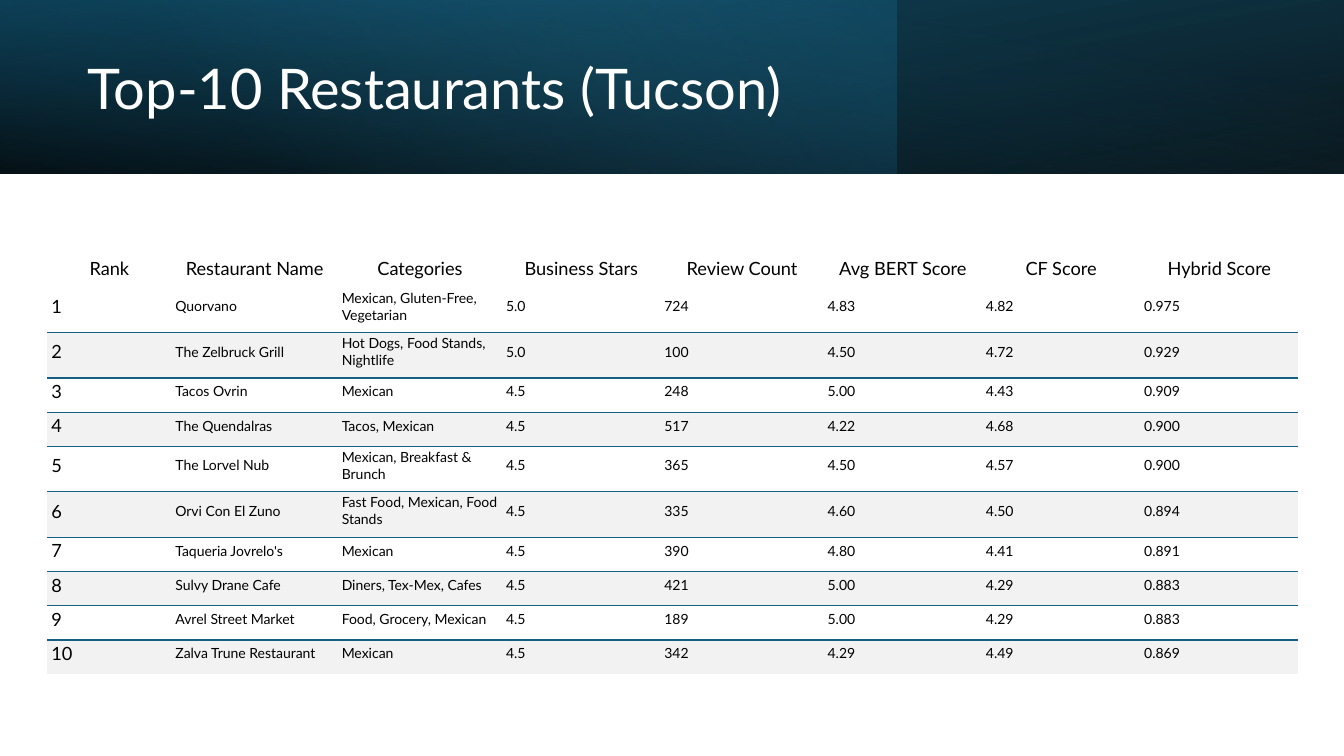
from typing import NamedTuple

from pptx import Presentation
from pptx.dml.color import RGBColor
from pptx.enum.shapes import MSO_SHAPE
from pptx.enum.text import MSO_ANCHOR, MSO_AUTO_SIZE, PP_ALIGN
from pptx.oxml import parse_xml
from pptx.oxml.ns import nsdecls, qn
from pptx.slide import Slide
from pptx.table import Table, _Cell
from pptx.text.text import _Paragraph
from pptx.util import Inches, Pt

FONT = "Lato"
TEAL = "156082"
PLAIN = "{2D5ABB26-0587-4C30-8999-92F81FD0307C}"


class Stop(NamedTuple):
    at: int
    color: str
    alpha: int


class Band(NamedTuple):
    width: float
    angle: int
    stops: list[Stop]
    turn: int = 0
    flip: bool = False


class Diner(NamedTuple):
    name: str
    kinds: str
    stars: str
    count: str
    bert: str
    collab: str
    hybrid: str


BANDS = [
    Band(13.33, 100, [Stop(0, "000000", 96), Stop(100, "104862", 100)], 180, True),
    Band(8.89, 140, [Stop(0, TEAL, 41), Stop(74, "46B1E1", 0)]),
    Band(13.33, 260, [Stop(0, "000000", 63), Stop(78, TEAL, 15)], 0, True),
]
HEADS = ["Rank", "Restaurant Name", "Categories", "Business Stars",
         "Review Count", "Avg BERT Score", "CF Score", "Hybrid Score"]
WIDTHS = [1.23, 1.65, 1.63, 1.57, 1.62, 1.57, 1.57, 1.57]
LOW, TALL = 0.34, 0.45
TALL_ROWS = {1, 2, 5, 6}
DINERS = [
    Diner("Quorvano", "Mexican, Gluten-Free, Vegetarian", "5.0", "724", "4.83", "4.82", "0.975"),
    Diner("The Zelbruck Grill", "Hot Dogs, Food Stands, Nightlife", "5.0", "100", "4.50", "4.72", "0.929"),
    Diner("Tacos Ovrin", "Mexican", "4.5", "248", "5.00", "4.43", "0.909"),
    Diner("The Quendalras", "Tacos, Mexican", "4.5", "517", "4.22", "4.68", "0.900"),
    Diner("The Lorvel Nub", "Mexican, Breakfast & Brunch", "4.5", "365", "4.50", "4.57", "0.900"),
    Diner("Orvi Con El Zuno", "Fast Food, Mexican, Food Stands", "4.5", "335", "4.60", "4.50", "0.894"),
    Diner("Taqueria Jovrelo's", "Mexican", "4.5", "390", "4.80", "4.41", "0.891"),
    Diner("Sulvy Drane Cafe", "Diners, Tex-Mex, Cafes", "4.5", "421", "5.00", "4.29", "0.883"),
    Diner("Avrel Street Market", "Food, Grocery, Mexican", "4.5", "189", "5.00", "4.29", "0.883"),
    Diner("Zalva Trune Restaurant", "Mexican", "4.5", "342", "4.29", "4.49", "0.869"),
]


def rgb(color: str) -> RGBColor:
    return RGBColor.from_string(color)


def style(para: _Paragraph, size: int, color: str, align: PP_ALIGN) -> None:
    para.font.name = FONT
    para.font.size = Pt(size)
    para.font.color.rgb = rgb(color)
    para.alignment = align


def add_band(slide: Slide, band: Band) -> None:
    shape = slide.shapes.add_shape(MSO_SHAPE.RECTANGLE, 0, 0, Inches(band.width), Inches(1.72))
    shape.shadow.inherit = False
    shape.line.fill.background()
    shape.rotation = band.turn
    props = shape._element.spPr
    if band.flip:
        props.find(qn("a:xfrm")).set("flipH", "1")
    stops = "".join(
        f'<a:gs pos="{stop.at * 1000}"><a:srgbClr val="{stop.color}">'
        f'<a:alpha val="{stop.alpha * 1000}"/></a:srgbClr></a:gs>'
        for stop in band.stops)
    props.find(qn("a:prstGeom")).addnext(parse_xml(
        f'<a:gradFill {nsdecls("a")} rotWithShape="1"><a:gsLst>{stops}</a:gsLst>'
        f'<a:lin ang="{band.angle * 60000}" scaled="0"/></a:gradFill>'))


def add_title(slide: Slide, text: str) -> None:
    title = slide.shapes.title
    title.left, title.top = Inches(0.77), Inches(0.27)
    title.width, title.height = Inches(7.72), Inches(1.27)
    frame = title.text_frame
    frame.text = text
    frame.word_wrap = True
    frame.auto_size = MSO_AUTO_SIZE.NONE
    frame.vertical_anchor = MSO_ANCHOR.MIDDLE
    para = frame.paragraphs[0]
    para.line_spacing = 0.9
    style(para, 40, "FFFFFF", PP_ALIGN.LEFT)
    slide.shapes._spTree.append(title._element)


def add_rule(cell: _Cell, side: str) -> None:
    cell._tc.get_or_add_tcPr().insert(0, parse_xml(
        f'<a:{side} {nsdecls("a")} w="12700"><a:solidFill><a:srgbClr val="{TEAL}"/>'
        f'</a:solidFill></a:{side}>'))


def fill_cell(cell: _Cell, text: str, row: int, col: int) -> None:
    cell.text = text
    cell.margin_left = cell.margin_right = Inches(0.04)
    cell.margin_top, cell.margin_bottom = Inches(0.01), Inches(0.08)
    head = row == 0
    cell.vertical_anchor = MSO_ANCHOR.BOTTOM if head else MSO_ANCHOR.MIDDLE
    style(cell.text_frame.paragraphs[0], 13 if head or col == 0 else 10,
          "000000", PP_ALIGN.CENTER if head else PP_ALIGN.LEFT)
    if head or row % 2:
        cell.fill.background()
    else:
        cell.fill.solid()
        cell.fill.fore_color.rgb = rgb("F2F2F2")
    if not head:
        add_rule(cell, "lnB" if row % 2 else "lnT")


def add_ranks(slide: Slide) -> None:
    rows = [HEADS] + [[str(rank), *diner] for rank, diner in enumerate(DINERS, 1)]
    highs = [TALL if row in TALL_ROWS else LOW for row in range(len(rows))]
    frame = slide.shapes.add_table(len(rows), len(HEADS), Inches(0.47), Inches(2.51),
                                   Inches(sum(WIDTHS)), Inches(sum(highs)))
    table: Table = frame.table
    table.first_row = table.horz_banding = False
    table._tbl.tblPr.find(qn("a:tableStyleId")).text = PLAIN
    for col, width in enumerate(WIDTHS):
        table.columns[col].width = Inches(width)
    for row, texts in enumerate(rows):
        table.rows[row].height = Inches(highs[row])
        for col, text in enumerate(texts):
            fill_cell(table.cell(row, col), text, row, col)


def main() -> None:
    """Build the slide of ranked restaurants and save it."""
    deck = Presentation()
    deck.slide_width, deck.slide_height = Inches(13.33), Inches(7.5)
    slide = deck.slides.add_slide(deck.slide_layouts[5])
    for band in BANDS:
        add_band(slide, band)
    add_title(slide, "Top-10 Restaurants (Tucson)")
    add_ranks(slide)
    deck.save("out.pptx")


if __name__ == "__main__":
    main()
